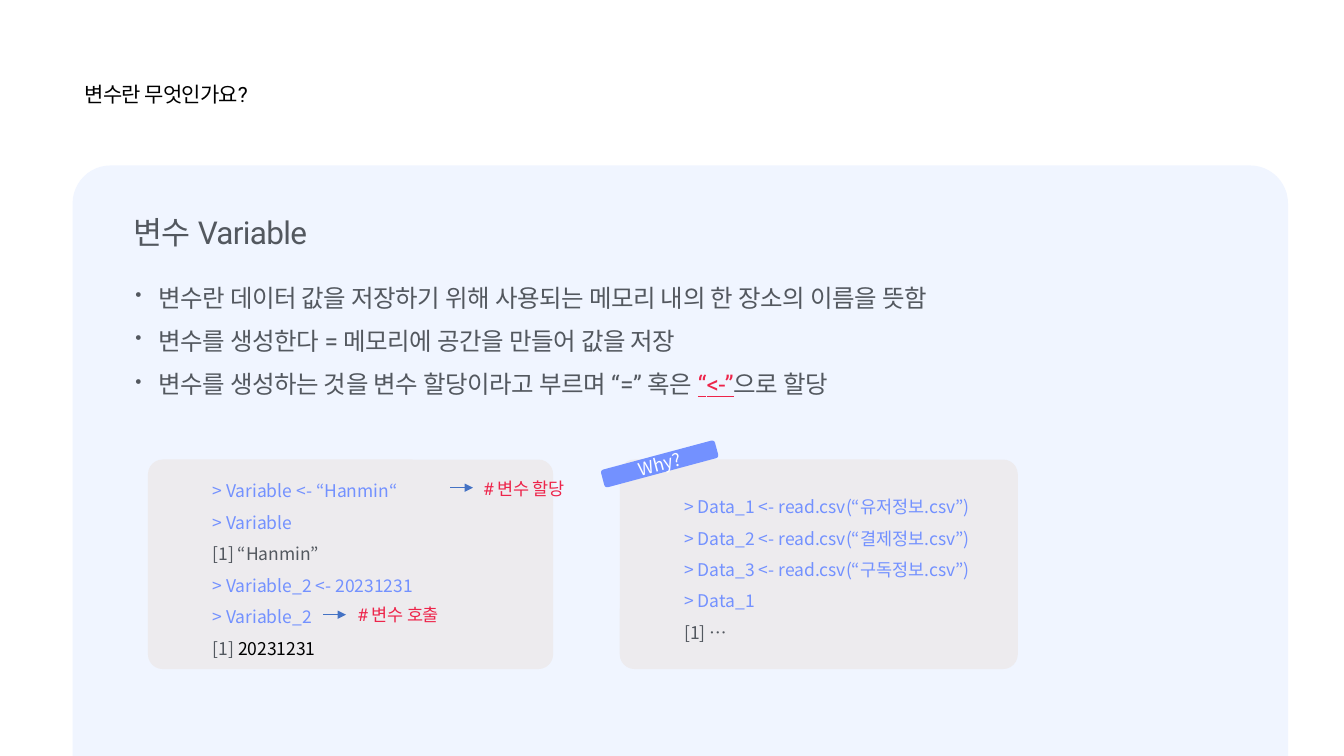
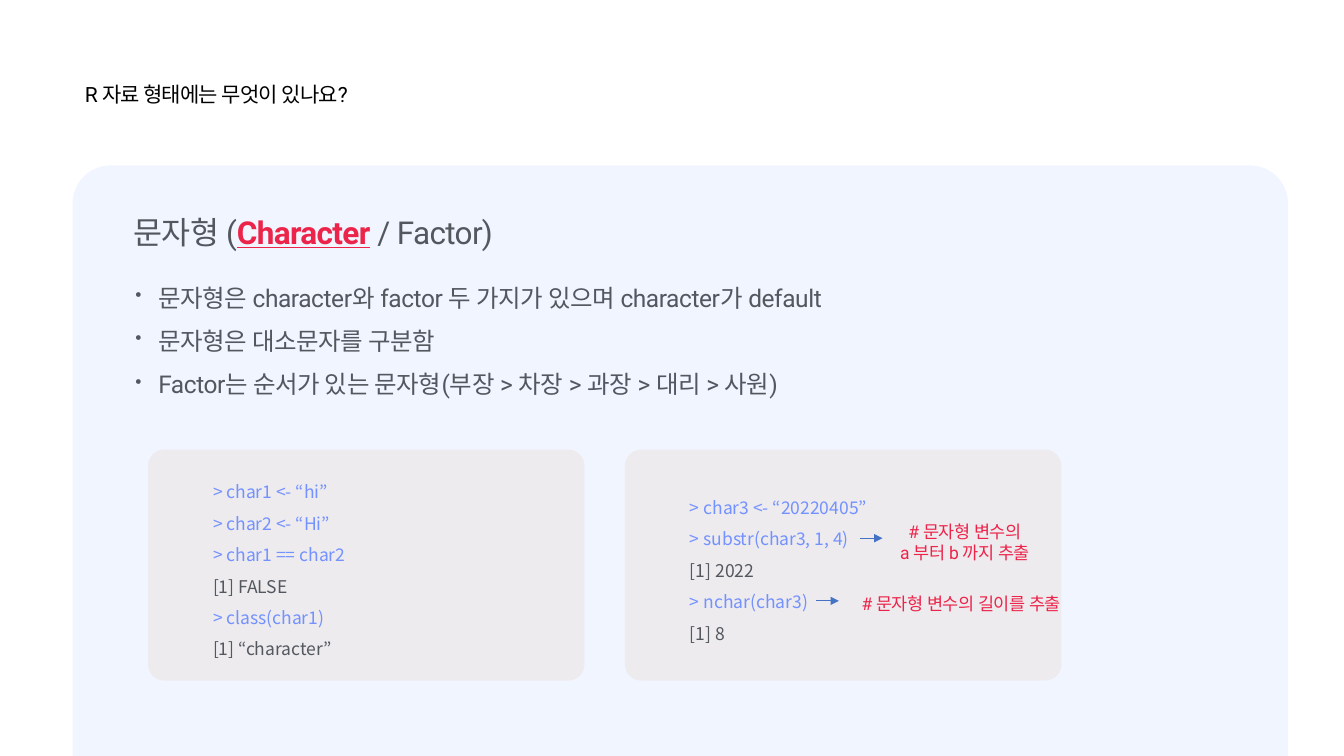
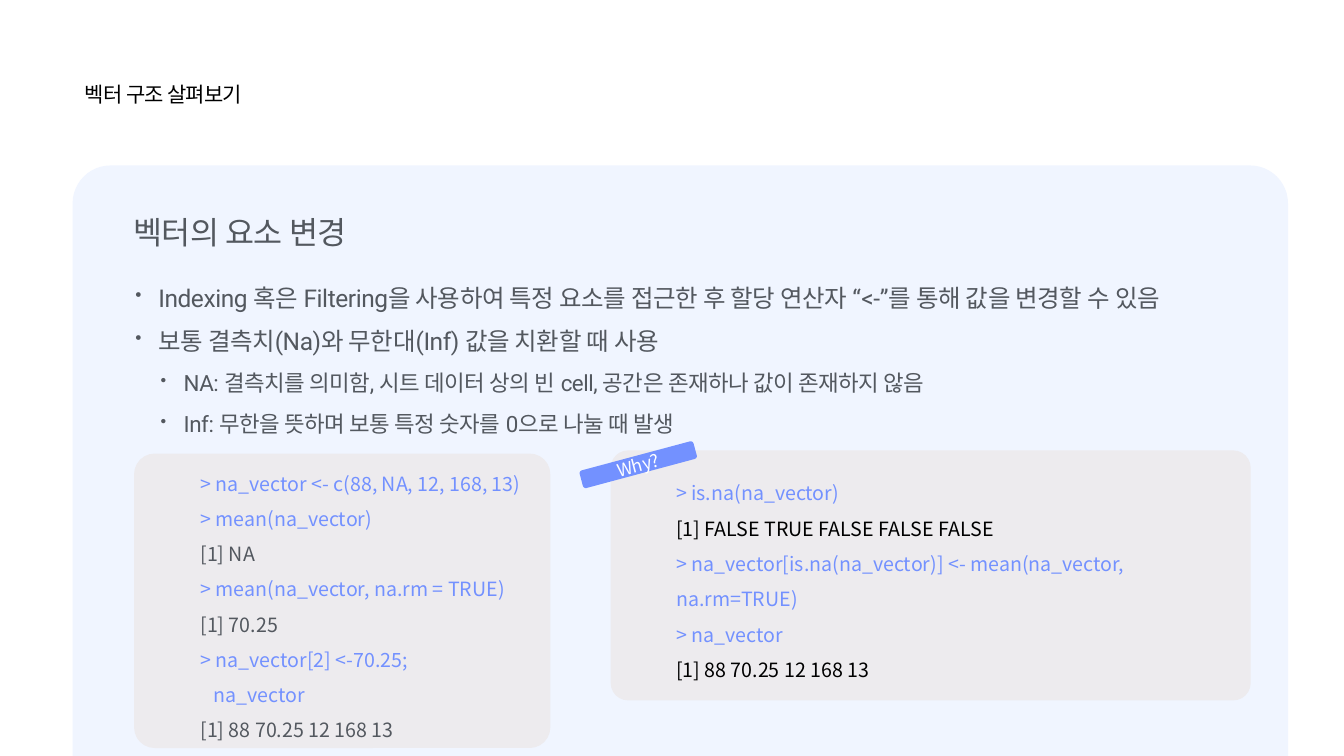
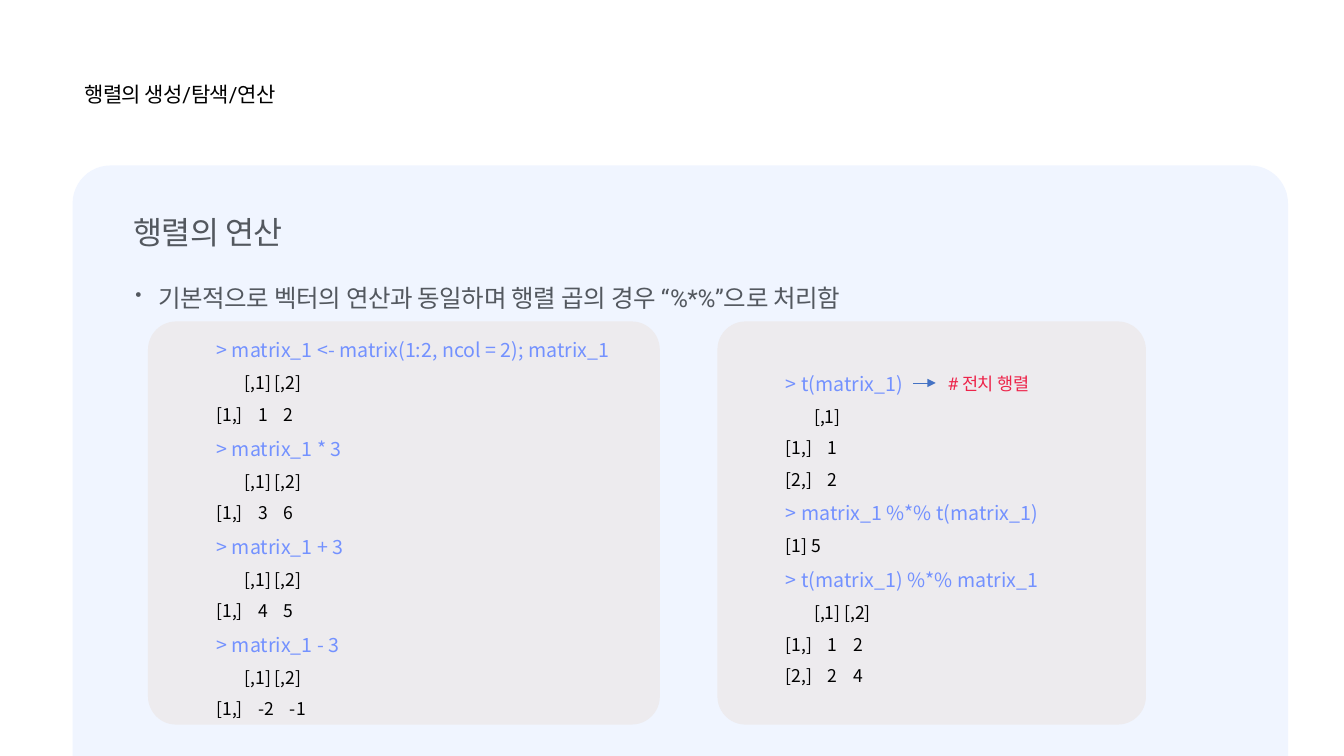
"""Build four slides on R variables, types, vectors and matrices."""
from pptx import Presentation as Deck
from pptx.dml.color import RGBColor as Rgb
from pptx.enum.shapes import MSO_CONNECTOR as Link, MSO_SHAPE as Form
from pptx.enum.text import MSO_ANCHOR as Anchor, MSO_AUTO_SIZE as Auto, PP_ALIGN as Align
from pptx.oxml.ns import qn
from pptx.util import Cm, Pt
from lxml.etree import SubElement as Sub


class Theme:
    black, gray, white = "000000", "53585F", "FFFFFF"
    blue, red, arrow = "7391FF", "ED244A", "4472C4"
    panel, card = "F0F5FF", "EDEBEE"
    sans, code = "Roboto", "Noto Sans CJK KR"
    title, head, body, minor, small, large = 15, 22.5, 17.5, 16, 12.5, 14


def say(frame, text, size=Theme.small, font=Theme.sans, ink=Theme.gray, track=0,
        align=Align.LEFT, before=0, after=0, line=1, left=0, first=0, dot=False):
    """Add one paragraph; text is a string or a list of strings and (string, format) pairs."""
    para = frame.paragraphs[0]
    if para.runs:
        para = frame.add_paragraph()
    para.alignment, para.line_spacing = align, line
    para.space_before, para.space_after = Pt(before), Pt(after)
    props = para._p.get_or_add_pPr()
    props.set("marL", str(Cm(left)))
    props.set("indent", str(Cm(first)))
    if dot:
        Sub(props, qn("a:buSzPct"), val="75000")
        Sub(props, qn("a:buChar"), char="•")
    for piece in [text] if isinstance(text, str) else text:
        words, extra = (piece, {}) if isinstance(piece, str) else piece
        run = para.add_run()
        run.text = words
        run.font.size, run.font.name = Pt(size), font
        run.font.color.rgb = Rgb.from_string(extra.get("ink", ink))
        run.font.bold = extra.get("bold", False)
        run.font.underline = extra.get("under", False)
        marks = run._r.get_or_add_rPr()
        marks.set("spc", str(round(extra.get("track", track) * 100)))
        Sub(marks, qn("a:ea"), typeface=font)


def place(slide, area, fill=None, bend=0, inset=None):
    """Add a filled round box, or a plain text box when there is no fill."""
    spots = [Cm(n) for n in area]
    if fill:
        box = slide.shapes.add_shape(Form.ROUNDED_RECTANGLE, *spots)
        box.adjustments[0] = bend
        box.fill.solid()
        box.fill.fore_color.rgb = Rgb.from_string(fill)
        box.line.fill.background()
        box.shadow.inherit = False
    else:
        box = slide.shapes.add_textbox(*spots)
    frame = box.text_frame
    frame.word_wrap = True
    frame.vertical_anchor = Anchor.MIDDLE if fill else Anchor.TOP
    frame.auto_size = Auto.NONE if fill else Auto.SHAPE_TO_FIT_TEXT
    if inset is not None:
        frame.margin_left = frame.margin_right = Cm(inset)
        frame.margin_top = frame.margin_bottom = Cm(inset)
    return box


hot = dict(ink=Theme.red, under=True)
gap = (" ", dict(track=8.4))
pages = [
    dict(
        title="변수란 무엇인가요?", head="변수 Variable", wide=23.22, tall=3.1,
        body=["변수란 데이터 값을 저장하기 위해 사용되는 메모리 내의 한 장소의 이름을 뜻함",
              "변수를 생성한다 = 메모리에 공간을 만들어 값을 저장",
              ["변수를 생성하는 것을 변수 할당이라고 부르며 “=” 혹은 ", ("“<-”", hot), "으로 할당"]],
        cards=[
            ((3.73, 11.58, 10.21, 5.28), Theme.gray,
             ["> Variable <- “Hanmin“", "> Variable", "[1] “Hanmin”",
              "> Variable_2 <- 20231231", "> Variable_2",
              ["[1] ", ("20231231", dict(ink=Theme.black))]]),
            ((15.62, 11.58, 10.03, 5.28), Theme.gray,
             ["> Data_1 <- read.csv(“유저정보.csv”)", "> Data_2 <- read.csv(“결제정보.csv”)",
              "> Data_3 <- read.csv(“구독정보.csv”)", "> Data_1", "[1] …"])],
        tag=(15.14, 11.46),
        notes=[((11.4, 11.96, 3.61, 0.69), ["# 변수 할당"], Align.CENTER),
               ((8.23, 15.14, 3.61, 0.69), ["# 변수 호출"], Align.CENTER)],
        arrows=[(11.35, 12.29), (8.15, 15.49)]),
    dict(
        title="R 자료 형태에는 무엇이 있나요?", wide=23.22, tall=3.1,
        head=["문자형 (", ("Character", dict(hot, bold=True)), " / Factor)"],
        body=["문자형은 character와 factor 두 가지가 있으며 character가 default",
              "문자형은 대소문자를 구분함",
              "Factor는 순서가 있는 문자형(부장 > 차장 > 과장 > 대리 > 사원)"],
        cards=[
            ((3.73, 11.33, 11, 5.82), Theme.gray,
             ["> char1 <- “hi”", "> char2 <- “Hi”", "> char1 == char2", "[1] FALSE",
              "> class(char1)", "[1] “character”"]),
            ((15.75, 11.33, 11, 5.82), Theme.gray,
             ["> char3 <- “20220405”", "> substr(char3, 1, 4)", "[1] 2022",
              "> nchar(char3)", "[1] 8"])],
        notes=[((22.3, 13.06, 4.04, 1.22), ["# 문자형 변수의", "a 부터 b 까지 추출"], Align.CENTER),
               ((21.34, 14.86, 5.77, 0.69), ["# 문자형 변수의 길이를 추출"], Align.CENTER)],
        arrows=[(21.67, 13.56), (20.57, 15.14)]),
    dict(
        title="벡터 구조 살펴보기", head="벡터의 요소 변경", wide=29.31, tall=4.06,
        prompt=Theme.large, output=Theme.large,
        body=["Indexing 혹은 Filtering을 사용하여 특정 요소를 접근한 후 할당 연산자 “<-”를 통해 값을 변경할 수 있음",
              "보통 결측치(Na)와 무한대(Inf) 값을 치환할 때 사용"],
        minor=["NA: 결측치를 의미함, 시트 데이터 상의 빈 cell, 공간은 존재하나 값이 존재하지 않음",
               "Inf: 무한을 뜻하며 보통 특정 숫자를 0으로 나눌 때 발생"],
        cards=[
            ((3.38, 11.43, 10.49, 7.42), Theme.gray,
             ["> na_vector <- c(88, NA, 12, 168, 13)", "> mean(na_vector)", "[1] NA",
              "> mean(na_vector, na.rm = TRUE)", "[1] 70.25", "> na_vector[2] <-70.25;",
              "na_vector", "[1] 88 70.25 12 168 13"]),
            ((15.39, 11.35, 16.13, 6.3), Theme.black,
             ["> is.na(na_vector)", "[1] FALSE TRUE FALSE FALSE FALSE",
              "> na_vector[is.na(na_vector)] <- mean(na_vector, na.rm=TRUE)",
              "> na_vector", "[1] 88 70.25 12 168 13"])],
        tag=(14.6, 11.48)),
    dict(
        title="행렬의 생성/탐색/연산", head="행렬의 연산", wide=29.31, tall=0.89,
        prompt=Theme.large,
        body=["기본적으로 벡터의 연산과 동일하며 행렬 곱의 경우 “%*%”으로 처리함"],
        cards=[
            ((3.73, 8.1, 12.9, 10.16), Theme.black,
             ["> matrix_1 <- matrix(1:2, ncol = 2); matrix_1", "[,1] [,2]", ["[1,]", gap, "1", gap, "2"],
              "> matrix_1 * 3", "[,1] [,2]", ["[1,]", gap, "3", gap, "6"],
              "> matrix_1 + 3", "[,1] [,2]", ["[1,]", gap, "4", gap, "5"],
              "> matrix_1 - 3", "[,1] [,2]", ["[1,]", gap, "-2", gap, "-1"]]),
            ((18.08, 8.1, 10.8, 10.16), Theme.black,
             ["> t(matrix_1)", "[,1]", ["[1,]", gap, "1"], ["[2,]", gap, "2"],
              "> matrix_1 %*% t(matrix_1)", "[1] 5",
              "> t(matrix_1) %*% matrix_1", "[,1] [,2]",
              ["[1,]", gap, "1", gap, "2"], ["[2,]", gap, "2", gap, "4"]])],
        notes=[((23.8, 9.32, 4.17, 0.69), ["# 전치 행렬"], Align.LEFT)],
        arrows=[(23.01, 9.65)]),
]

deck = Deck()
deck.slide_width, deck.slide_height = Cm(33.87), Cm(19.05)
margin = 1.27
shift = {"na": 0.33, "[,": 0.71}
bullet = dict(track=-0.3, after=10, first=-0.58, dot=True)

for page in pages:
    slide = deck.slides.add_slide(deck.slide_layouts[6])
    place(slide, (1.83, 4.17, 30.63, 15.95), Theme.panel, 0.06)
    title = place(slide, (2.11, 2.03, 9.22, 0.69), inset=0.03)
    say(title.text_frame, page["title"], size=Theme.title, ink=Theme.black, track=-0.6, before=5)
    head = place(slide, (3.33, 5.33, 17.32, 0.99), inset=0.03)
    say(head.text_frame, page["head"], size=Theme.head, track=-0.5, before=6, after=7.5)
    body = place(slide, (3.33, 7.04, page["wide"], page["tall"]), inset=0.08)
    for text in page["body"]:
        say(body.text_frame, text, size=Theme.body, left=0.58, **bullet)
    for text in page.get("minor", []):
        say(body.text_frame, text, size=Theme.minor, left=1.22, **bullet)

    for area, ink, lines in page["cards"]:
        card = place(slide, area, Theme.card, 0.07)
        for text in lines:
            start = text if isinstance(text, str) else text[0]
            asked = start[0] != "["
            say(card.text_frame, text, font=Theme.code, line=1.5,
                ink=Theme.blue if asked else ink,
                size=page.get("prompt" if asked else "output", Theme.small),
                left=margin + shift.get(start[:2], 0))

    if "tag" in page:
        tag = place(slide, (*page["tag"], 2.97, 0.46), Theme.blue, 0.16, inset=0.08)
        tag.rotation = 345
        say(tag.text_frame, "Why?", font=Theme.code, ink=Theme.white, align=Align.CENTER)

    for area, lines, align in page.get("notes", []):
        note = place(slide, area, inset=0.08)
        for text in lines:
            say(note.text_frame, text, ink=Theme.red, track=-0.3, align=align)

    for x, y in page.get("arrows", []):
        arrow = slide.shapes.add_connector(Link.STRAIGHT, Cm(x), Cm(y), Cm(x + 0.57), Cm(y))
        arrow.line.color.rgb = Rgb.from_string(Theme.arrow)
        arrow.line.width = Pt(0.5)
        Sub(arrow.line._get_or_add_ln(), qn("a:tailEnd"), type="triangle")
        Sub(arrow._element.spPr, qn("a:effectLst"))

deck.save("out.pptx")
